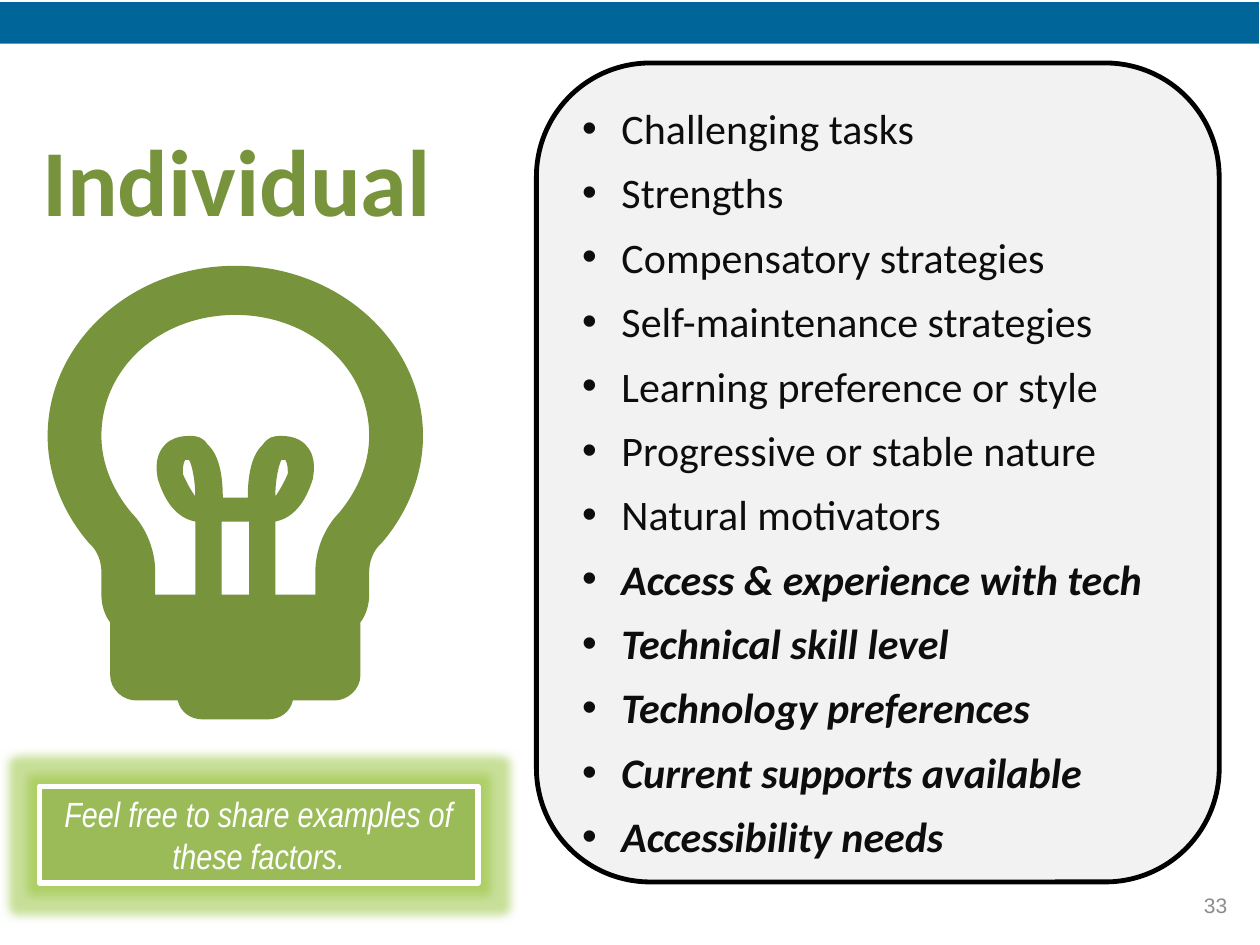
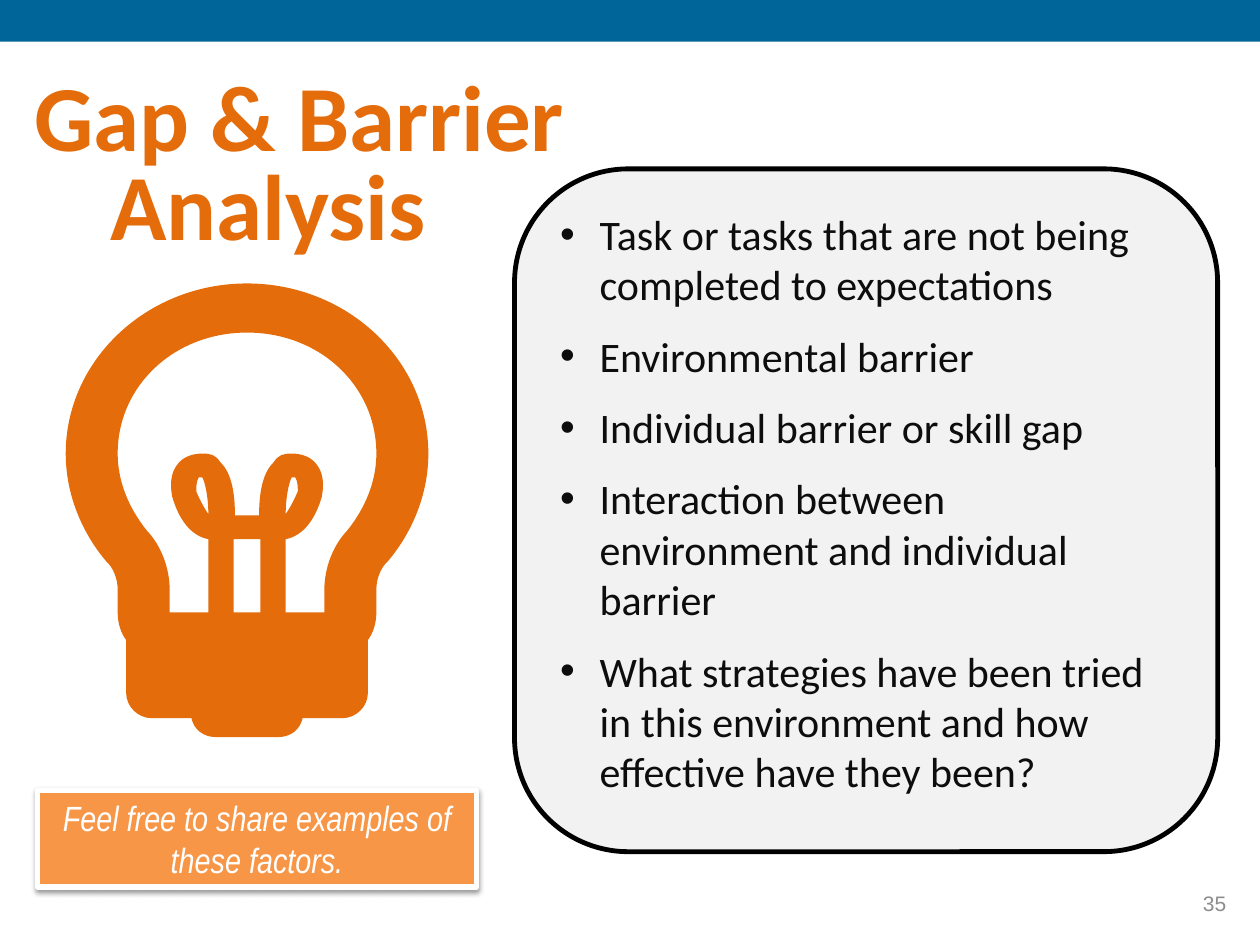
from dataclasses import dataclass

from lxml import etree
from pptx import Presentation
from pptx.dml.color import RGBColor
from pptx.enum.shapes import MSO_SHAPE
from pptx.enum.text import MSO_ANCHOR, PP_ALIGN
from pptx.oxml.ns import qn
from pptx.util import Pt

# Shared colours and text formats
BAND_BLUE = "006699"
PANEL_GREY = "F2F2F2"
BLACK = "000000"
WHITE = "FFFFFF"
GLOW_GREEN = "92C033"

BULLET_FORMAT = {"name": "Calibri", "size": Pt(24)}
NOTE_FORMAT = {"name": "Arial Narrow", "size": Pt(20), "italic": True}
NUMBER_FORMAT = {"name": "Arial", "size": Pt(12)}
NOTE_TEXT = "Feel free to share examples of these factors."
BULLET_INDENT = 22.5
TEXT_INSET = 7.2

# Right half of the bulb in hundredths of an inch, x from the centre line and
# y from the top: pairs are line ends, sixes are Bezier curves.
BULB_OUTLINE = [
    (0, 0), (83, 0, 150, 61, 150, 135), (150, 167, 137, 197, 117, 220),
    (110, 226, 107, 235, 107, 243), (107, 261),
    (107, 270, 104, 278, 100, 283), (100, 325),
    (100, 336, 90, 345, 79, 345), (46, 345),
    (44, 354, 36, 360, 26, 360), (0, 360),
]
BULB_CAVITY = [
    (0, 39), (60, 39, 107, 81, 107, 135), (107, 157, 98, 178, 83, 196),
    (71, 208, 64, 226, 64, 243), (64, 261), (32, 261), (32, 203),
    (53, 199, 60, 175, 62, 169), (62, 167, 66, 153, 57, 143),
    (54, 139, 47, 135, 37, 135), (30, 135, 26, 136, 22, 142),
    (12, 151, 10, 169, 10, 184), (0, 184),
]
STEM_GAP = [(0, 203), (11, 203), (11, 261), (0, 261)]
FILAMENT_EYE = [
    (32, 183), (32, 169, 35, 157, 37, 154), (40, 154),
    (42, 157, 42, 162, 42, 165), (39, 172, 35, 179, 32, 183),
]
BULB_WIDTH, BULB_HEIGHT = 300, 360


@dataclass
class Box:
    left: float
    top: float
    width: float
    height: float

    def lengths(self):
        return [Pt(value) for value in (self.left, self.top, self.width, self.height)]


@dataclass
class Contour:
    points: list
    sizes: list  # points used by each segment: 1 for a line, 3 for a curve

    def mirrored(self):
        return Contour([(-x, y) for x, y in reversed(self.points)], self.sizes[::-1])

    def symmetric(self):
        other = self.mirrored()
        return Contour(self.points + other.points[1:], self.sizes + other.sizes)


@dataclass
class Bullet:
    text: str
    emphasis: bool = False


@dataclass
class FactorSlide:
    title: str
    title_size: float
    title_spacing: float
    title_indent: float
    title_box: Box
    accent: str
    bulb_box: Box
    panel_box: Box
    bullets: list
    bullet_gap: float
    note_box: Box
    note_fill: str
    note_glows: bool
    number: str
    frame_shift: float


FACTOR_SLIDES = [
    FactorSlide(
        title="Individual", title_size=54, title_spacing=1, title_indent=12.5,
        title_box=Box(0, 66.2, 257.8, 84), accent="77933C",
        bulb_box=Box(27.2, 151.9, 214.5, 259.2),
        panel_box=Box(306.5, 36, 390.2, 468),
        bullets=[
            Bullet("Challenging tasks"),
            Bullet("Strengths"),
            Bullet("Compensatory strategies"),
            Bullet("Self-maintenance strategies"),
            Bullet("Learning preference or style"),
            Bullet("Progressive or stable nature"),
            Bullet("Natural motivators"),
            Bullet("Access & experience with tech", True),
            Bullet("Technical skill level", True),
            Bullet("Technology preferences", True),
            Bullet("Current supports available", True),
            Bullet("Accessibility needs", True),
        ],
        bullet_gap=8, note_box=Box(22.5, 449.3, 250.6, 55.4),
        note_fill="9BBB59", note_glows=True, number="33", frame_shift=1.2,
    ),
    FactorSlide(
        title="Gap & Barrier Analysis \t", title_size=53.2, title_spacing=0.8,
        title_indent=0, title_box=Box(0, 42, 342, 120.2), accent="E46C0A",
        bulb_box=Box(37.6, 162, 207.2, 259.2),
        panel_box=Box(294, 96.5, 401.8, 390.2),
        bullets=[
            Bullet("Task or tasks that are not being completed to expectations"),
            Bullet("Environmental barrier"),
            Bullet("Individual barrier or skill gap"),
            Bullet("Interaction between environment and individual barrier"),
            Bullet("What strategies have been tried in this environment "
                   "and how effective have they been?"),
        ],
        bullet_gap=12, note_box=Box(21.6, 451.6, 250.6, 55.4),
        note_fill="F79646", note_glows=False, number="35", frame_shift=0,
    ),
]


def color(value: str) -> RGBColor:
    return RGBColor.from_string(value)


def style_font(font, font_color: str, formats: dict) -> None:
    for name, value in formats.items():
        setattr(font, name, value)
    font.color.rgb = color(font_color)


def paint(shape, fill: str) -> None:
    shape.shadow.inherit = False
    shape.fill.solid()
    shape.fill.fore_color.rgb = color(fill)
    shape.line.fill.background()


def add_box(slide, kind, box: Box, fill: str, line: str = "", line_width: float = 0):
    shape = slide.shapes.add_shape(kind, *box.lengths())
    paint(shape, fill)
    if line:
        shape.line.color.rgb = color(line)
        shape.line.width = Pt(line_width)
    return shape


def write(shape, text: str, font_color: str, formats: dict, alignment, anchor):
    frame = shape.text_frame
    frame.word_wrap = True
    frame.vertical_anchor = anchor
    paragraph = frame.paragraphs[0]
    paragraph.alignment = alignment
    run = paragraph.add_run()
    run.text = text
    style_font(run.font, font_color, formats)
    return paragraph


def add_effect(shape, kind: str, effect_color: str, opacity: int, **settings) -> None:
    effects = shape._element.spPr.find(qn("a:effectLst"))
    effect = etree.SubElement(effects, qn(f"a:{kind}"),
                              {name: str(value) for name, value in settings.items()})
    tint = etree.SubElement(effect, qn("a:srgbClr"), val=effect_color)
    etree.SubElement(tint, qn("a:alpha"), val=str(opacity * 1000))


# Bulb geometry
def read_contour(steps: list) -> Contour:
    points = [step[i:i + 2] for step in steps for i in range(0, len(step), 2)]
    return Contour(points, [len(step) // 2 for step in steps[1:]])


def bend(shape, sizes: list) -> None:
    """Merge each run of three line ends that belongs to a curve."""
    line_ends = iter(list(shape._element.iter(qn("a:lnTo"))))
    for size in sizes:
        segment = [next(line_ends) for _ in range(size)]
        if size == 3:
            first, *others = segment
            first.tag = qn("a:cubicBezTo")
            for line_end in others:
                first.append(line_end[0])
                line_end.getparent().remove(line_end)


def add_bulb(slide, box: Box, fill: str) -> None:
    halves = (BULB_OUTLINE, BULB_CAVITY, STEM_GAP)
    eye = read_contour(FILAMENT_EYE)
    contours = [read_contour(half).symmetric() for half in halves]
    contours += [eye, eye.mirrored()]

    def place(point):
        return (Pt(box.left + box.width * (0.5 + point[0] / BULB_WIDTH)),
                Pt(box.top + box.height * point[1] / BULB_HEIGHT))

    builder = None
    for contour in contours:
        start, *others = map(place, contour.points)
        if builder is None:
            builder = slide.shapes.build_freeform(*start)
        else:
            builder.move_to(*start)
        builder.add_line_segments(others, close=True)
    bulb = builder.convert_to_shape()
    bend(bulb, [size for contour in contours for size in contour.sizes])
    paint(bulb, fill)


# Slide parts
def add_number(slide, number: str, shift: float) -> None:
    footer = slide.shapes.add_textbox(*Box(540 + shift / 2, 501.8 + shift,
                                           167.8, 28.8).lengths())
    write(footer, number, "8C8C8C", NUMBER_FORMAT, PP_ALIGN.RIGHT, MSO_ANCHOR.MIDDLE)


def add_title(slide, content: FactorSlide) -> None:
    title = slide.shapes.add_textbox(*content.title_box.lengths())
    title.text_frame.margin_left = Pt(TEXT_INSET + content.title_indent)
    formats = {"name": "Calibri", "size": Pt(content.title_size), "bold": True}
    paragraph = write(title, content.title, content.accent, formats,
                      PP_ALIGN.CENTER, MSO_ANCHOR.TOP)
    paragraph.line_spacing = content.title_spacing


def add_panel(slide, box: Box, bullets: list, gap: float) -> None:
    panel = add_box(slide, MSO_SHAPE.FLOWCHART_ALTERNATE_PROCESS, box,
                    PANEL_GREY, BLACK, 2.75)
    frame = panel.text_frame
    frame.word_wrap = True
    frame.vertical_anchor = MSO_ANCHOR.TOP
    for index, bullet in enumerate(bullets):
        paragraph = frame.add_paragraph() if index else frame.paragraphs[0]
        paragraph.alignment = PP_ALIGN.LEFT
        if index:
            paragraph.space_before = Pt(gap)
        properties = paragraph._p.get_or_add_pPr()
        properties.set("marL", str(Pt(BULLET_INDENT)))
        properties.set("indent", str(-Pt(BULLET_INDENT)))
        etree.SubElement(properties, qn("a:buFont"), typeface="Arial")
        etree.SubElement(properties, qn("a:buChar"), char="•")
        run = paragraph.add_run()
        run.text = bullet.text
        emphasis = {"bold": bullet.emphasis, "italic": bullet.emphasis}
        style_font(run.font, "0D0D0D", BULLET_FORMAT | emphasis)


def add_note(slide, box: Box, fill: str, glows: bool) -> None:
    note = add_box(slide, MSO_SHAPE.RECTANGLE, box, fill, WHITE, 3)
    if glows:
        add_effect(note, "glow", GLOW_GREEN, 50, rad=Pt(11))
    else:
        add_effect(note, "outerShdw", BLACK, 38, blurRad=Pt(3.1), dist=Pt(1.6),
                   dir=90 * 60000, rotWithShape=0)
    write(note, NOTE_TEXT, WHITE, NOTE_FORMAT, PP_ALIGN.CENTER, MSO_ANCHOR.TOP)


def add_factor_slide(presentation, content: FactorSlide) -> None:
    slide = presentation.slides.add_slide(presentation.slide_layouts[6])
    band = Box(-content.frame_shift / 2, content.frame_shift, 720, 23.8)
    add_box(slide, MSO_SHAPE.RECTANGLE, band, BAND_BLUE)
    add_title(slide, content)
    add_panel(slide, content.panel_box, content.bullets, content.bullet_gap)
    add_bulb(slide, content.bulb_box, content.accent)
    add_note(slide, content.note_box, content.note_fill, content.note_glows)
    add_number(slide, content.number, content.frame_shift)


def main() -> None:
    presentation = Presentation()
    presentation.slide_width = Pt(720)
    presentation.slide_height = Pt(540)
    for content in FACTOR_SLIDES:
        add_factor_slide(presentation, content)
    presentation.save("out.pptx")


if __name__ == "__main__":
    main()
